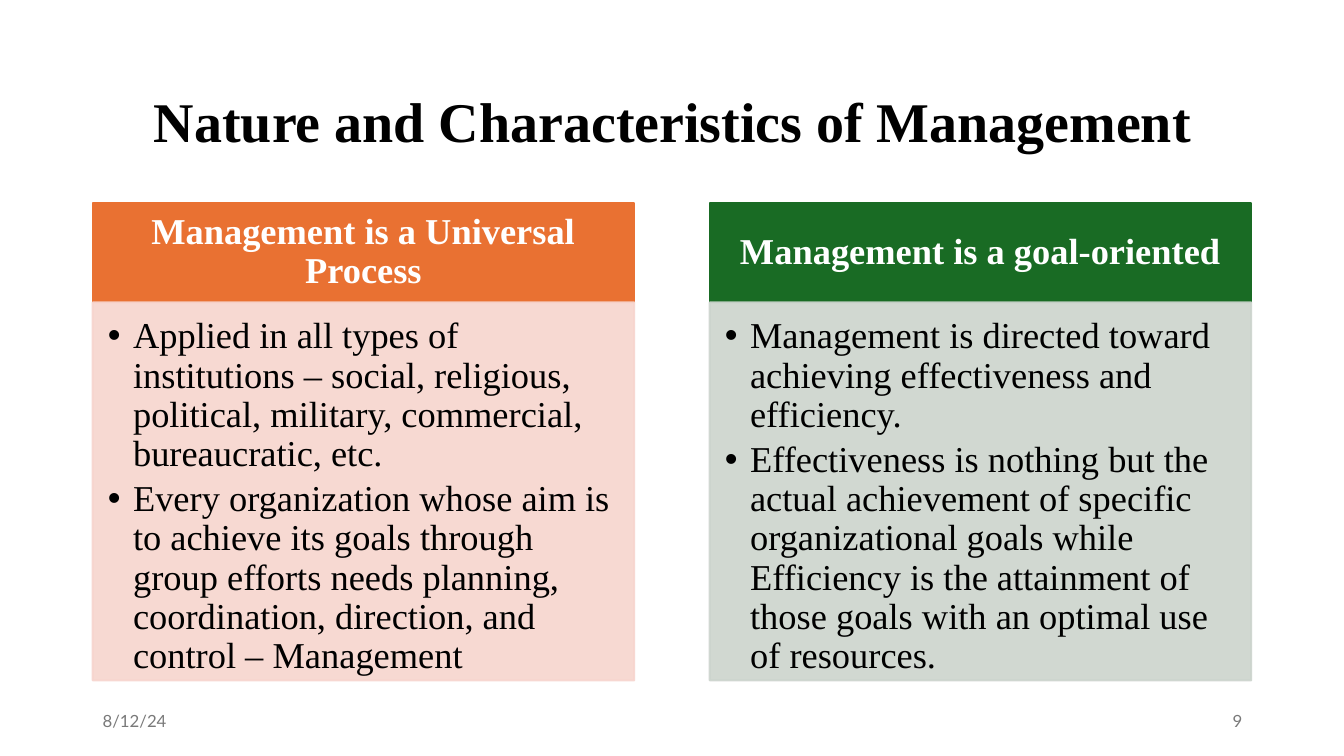
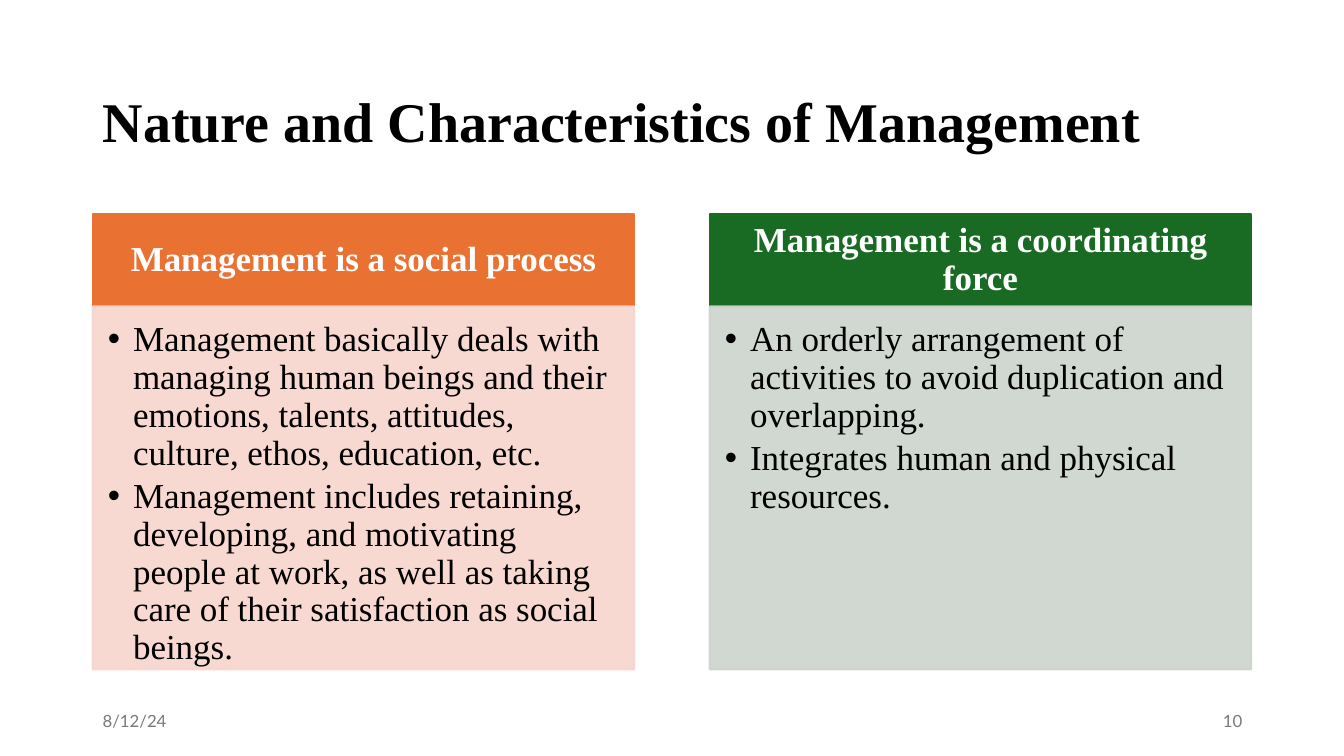
"""Build two comparison slides on the nature and characteristics of management."""
from pptx import Presentation
from pptx.dml.color import RGBColor
from pptx.enum.shapes import MSO_SHAPE as Shape
from pptx.enum.text import MSO_ANCHOR as Anchor, MSO_AUTO_SIZE as AutoSize, PP_ALIGN as Align
from pptx.oxml.ns import qn
from pptx.util import Inches, Pt
from lxml.etree import SubElement

BLACK = RGBColor(0x00, 0x00, 0x00)
WHITE = RGBColor(0xFF, 0xFF, 0xFF)
GREY = RGBColor(0x79, 0x79, 0x79)
ORANGE = RGBColor(0xE9, 0x71, 0x32)
PEACH = RGBColor(0xF7, 0xD5, 0xCE)
GREEN = RGBColor(0x19, 0x6B, 0x24)
SAGE = RGBColor(0xCC, 0xD4, 0xCD)

SERIF, SANS = "Times New Roman", "Lato"
TITLE = "Nature and Characteristics of Management"
DATE = "8/12/24"
LEFT, WIDTH = 0.92, 11.5
COLUMN_WIDTH, COLUMN_STEP = 5.37, 6.12
FOOTER_TOP, FOOTER_WIDTH, FOOTER_HEIGHT = 6.95, 3, 0.4
COLUMN_COLOURS = [(ORANGE, PEACH), (GREEN, SAGE)]

SLIDES = [
    {
        "number": "9", "title_align": Align.CENTER, "size": 26,
        "top": 2.01, "head_height": 0.99, "body_height": 3.75,
        "head_insets": (0.2, 0.12, 0.2, 0.12), "body_insets": (0.15, 0.15, 0.2, 0.23),
        "columns": [
            ("Management is a Universal Process", [
                "Applied in all types of institutions – social, religious, political, "
                "military, commercial, bureaucratic, etc.",
                "Every organization whose aim is to achieve its goals through group efforts "
                "needs planning, coordination, direction, and control – Management",
            ]),
            ("Management is a goal-oriented", [
                "Management is directed toward achieving effectiveness and efficiency.",
                "Effectiveness is nothing but the actual achievement of specific "
                "organizational goals while Efficiency is the attainment of those goals "
                "with an optimal use of resources.",
            ]),
        ],
    },
    {
        "number": "10", "title_align": Align.LEFT, "size": 25,
        "top": 2.12, "head_height": 0.92, "body_height": 3.6,
        "head_insets": (0.19, 0.11, 0.19, 0.11), "body_insets": (0.15, 0.15, 0.19, 0.22),
        "columns": [
            ("Management is a social process", [
                "Management basically deals with managing human beings and their emotions, "
                "talents, attitudes, culture, ethos, education, etc.",
                "Management includes retaining, developing, and motivating people at work, "
                "as well as taking care of their satisfaction as social beings.",
            ]),
            ("Management is a coordinating force", [
                "An orderly arrangement of activities to avoid duplication and overlapping.",
                "Integrates human and physical resources.",
            ]),
        ],
    },
]


def write(box, lines, size, font, colour, align, anchor, bold=False, spacing=0.9, after=0):
    """Fill a shape with equally formatted paragraphs."""
    frame = box.text_frame
    frame.text = "\n".join(lines)
    frame.word_wrap = True
    frame.auto_size = AutoSize.NONE
    frame.vertical_anchor = anchor
    for para in frame.paragraphs:
        para.alignment, para.line_spacing = align, spacing
        para.space_before, para.space_after = Pt(0), Pt(after)
        for span in para.runs:
            span.font.size, span.font.name, span.font.bold = Pt(size), font, bold
            span.font.color.rgb = colour


def add_panel(slide, left, top, height, colour, insets, opacity=None):
    """Add a filled rectangle with an outline of the same colour."""
    box = slide.shapes.add_shape(
        Shape.RECTANGLE, Inches(left), Inches(top), Inches(COLUMN_WIDTH), Inches(height))
    box.shadow.inherit = False
    box.fill.solid()
    box.fill.fore_color.rgb = colour
    box.line.color.rgb = colour
    box.line.width = Pt(1.5)
    if opacity:
        for node in list(box.element.spPr.iter(qn("a:srgbClr"))):
            SubElement(node, qn("a:alpha"), val=str(opacity * 1000))
    frame = box.text_frame
    frame.margin_left, frame.margin_top, frame.margin_right, frame.margin_bottom = map(
        Inches, insets)
    return box


def add_bullets(box):
    """Give every paragraph a bullet with a hanging indent."""
    for para in box.text_frame.paragraphs:
        props = para._p.get_or_add_pPr()
        props.set("marL", str(Inches(0.25)))
        props.set("indent", str(Inches(-0.25)))
        SubElement(props, qn("a:buFont"), typeface="Arial")
        SubElement(props, qn("a:buChar"), char="•")


def add_column(slide, content, left, heading, points, head_colour, body_colour):
    """Add a coloured heading above a tinted panel of bullet points."""
    top, head_height, size = content["top"], content["head_height"], content["size"]
    head = add_panel(slide, left, top, head_height, head_colour, content["head_insets"])
    write(head, [heading], size, SERIF, WHITE, Align.CENTER, Anchor.MIDDLE, bold=True)
    body = add_panel(slide, left, top + head_height, content["body_height"], body_colour,
                     content["body_insets"], opacity=90)
    write(body, points, size, SERIF, BLACK, Align.LEFT, Anchor.TOP, after=4)
    add_bullets(body)


def add_frame(slide, content):
    """Set the title and add the date and page number."""
    title = slide.shapes.title
    title.left, title.top, title.width, title.height = map(Inches, (LEFT, 0.61, WIDTH, 1.24))
    write(title, [TITLE], 40, SERIF, BLACK, content["title_align"], Anchor.MIDDLE, bold=True)
    footers = [(DATE, LEFT, Align.LEFT),
               (content["number"], LEFT + WIDTH - FOOTER_WIDTH, Align.RIGHT)]
    for text, left, align in footers:
        box = slide.shapes.add_textbox(
            Inches(left), Inches(FOOTER_TOP), Inches(FOOTER_WIDTH), Inches(FOOTER_HEIGHT))
        write(box, [text], 12, SANS, GREY, align, Anchor.MIDDLE, spacing=1.0, after=6)


def main():
    """Build and save the deck."""
    deck = Presentation()
    deck.slide_width, deck.slide_height = Inches(13.33), Inches(7.5)
    for content in SLIDES:
        slide = deck.slides.add_slide(deck.slide_layouts[5])
        add_frame(slide, content)
        for index, (heading, points) in enumerate(content["columns"]):
            add_column(slide, content, LEFT + index * COLUMN_STEP, heading, points,
                       *COLUMN_COLOURS[index])
    deck.save("out.pptx")


if __name__ == "__main__":
    main()
